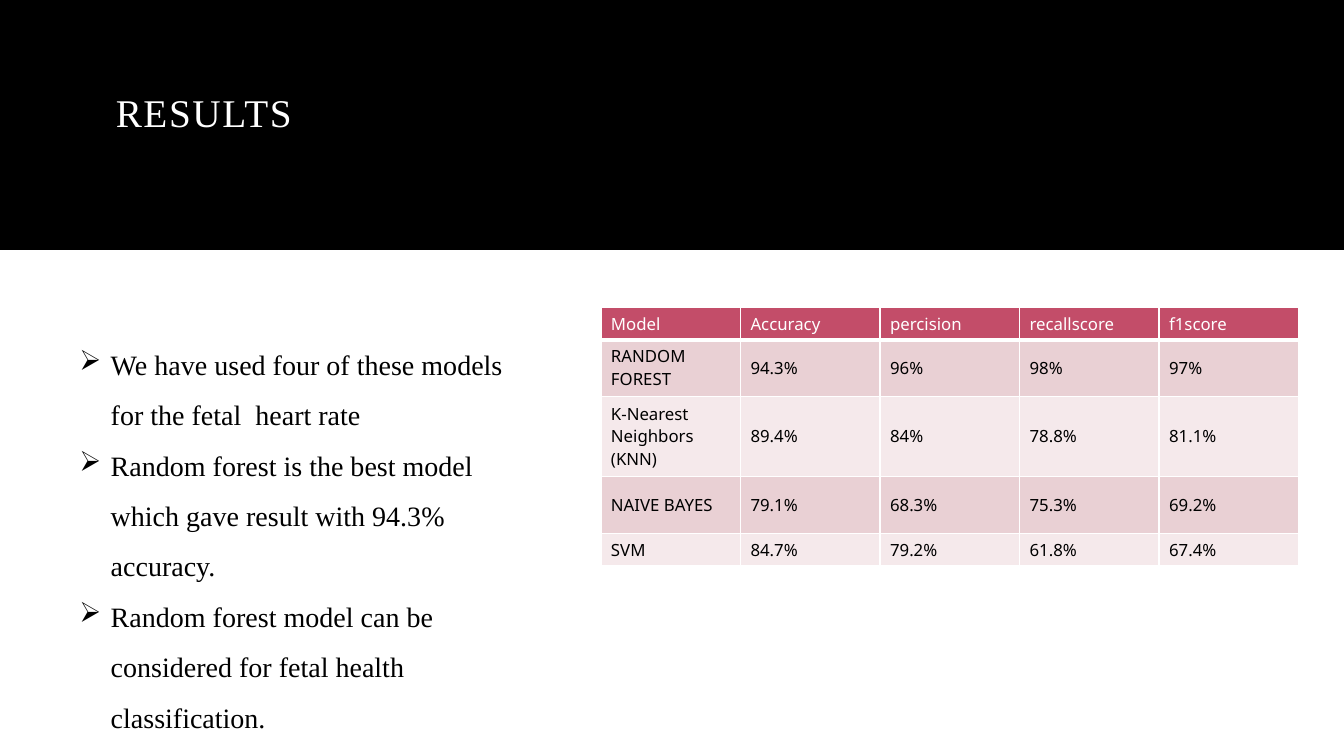
import dataclasses

import pptx
import pptx.dml.color
import pptx.enum.shapes
import pptx.enum.text
import pptx.oxml
import pptx.oxml.ns
import pptx.util

Inches = pptx.util.Inches
ANCHOR = pptx.enum.text.MSO_ANCHOR


@dataclasses.dataclass(frozen=True)
class Theme:
    """Colours, fonts and type sizes of the slide."""
    black: str = "000000"
    white: str = "FFFFFF"
    header: str = "C34D69"
    bands: tuple = ("E9D0D4", "F5E9EB")
    serif: str = "Times New Roman"
    sans: str = "Noto Sans"
    title_size: int = 28
    body_size: int = 20
    table_size: int = 12


THEME = Theme()

FINDINGS = [
    "We have used four of these models for the fetal  heart rate",
    "Random forest is the best model which gave result with 94.3% accuracy.",
    "Random forest model can be considered for fetal health classification.",
]
SCORES = [
    ["Model", "Accuracy", "percision", "recallscore", "f1score"],
    ["RANDOM FOREST", "94.3%", "96%", "98%", "97%"],
    ["K-Nearest Neighbors (KNN)", "89.4%", "84%", "78.8%", "81.1%"],
    ["NAIVE BAYES", "79.1%", "68.3%", "75.3%", "69.2%"],
    ["SVM", "84.7%", "79.2%", "61.8%", "67.4%"],
]
ROW_HEIGHTS = [0.32, 0.56, 0.8, 0.56, 0.32]


def rgb(value):
    """Turn a hex string into a colour."""
    return pptx.dml.color.RGBColor.from_string(value)


def write(para, text, *, font, size, color, line=None, tracking=None, bullet=None, indent=0.31):
    """Put formatted text into a paragraph."""
    span = para.add_run()
    span.text = text
    span.font.name = font
    span.font.size = pptx.util.Pt(size)
    span.font.color.rgb = rgb(color)
    if line:
        para.line_spacing = line
    if tracking:
        span.font._element.set("spc", str(round(tracking * 100)))
    if bullet:
        properties = para._p.get_or_add_pPr()
        properties.set("marL", str(Inches(indent)))
        properties.set("indent", str(-Inches(indent)))
        mark = properties.makeelement(pptx.oxml.ns.qn("a:buChar"), {"char": bullet})
        properties.append(mark)


def add_frame(page, box, anchor):
    """Add a wrapping text box and return its text frame."""
    frame = page.shapes.add_textbox(*map(Inches, box)).text_frame
    frame.word_wrap = True
    frame.vertical_anchor = anchor
    return frame


def add_title_band(page, box, title):
    """Draw the black band with the title inside it."""
    left, top, width, height = box
    band = page.shapes.add_shape(pptx.enum.shapes.MSO_SHAPE.RECTANGLE, *map(Inches, box))
    band.shadow.inherit = False
    band.fill.solid()
    band.fill.fore_color.rgb = rgb(THEME.black)
    band.line.fill.background()
    title_box = (left + 1.05, top + 0.33, width - 2.1, height - 0.87)
    frame = add_frame(page, title_box, ANCHOR.MIDDLE)
    write(frame.paragraphs[0], title, font=THEME.serif, size=THEME.title_size,
          color=THEME.white, line=0.9, tracking=1.2)


def add_findings(page, box, findings):
    """List the findings with arrow bullets."""
    frame = add_frame(page, box, ANCHOR.TOP)
    for index, finding in enumerate(findings):
        para = frame.add_paragraph() if index else frame.paragraphs[0]
        write(para, finding, font=THEME.serif, size=THEME.body_size,
              color=THEME.black, line=1.5, bullet="\u27a2")


def set_borders(cell, color, **widths):
    """Draw cell borders; widths in points are keyed L, R, T and B."""
    properties = cell._tc.get_or_add_tcPr()
    for index, (side, width) in enumerate(widths.items()):
        border = pptx.oxml.parse_xml(
            f'<a:ln{side} {pptx.oxml.ns.nsdecls("a")} w="{pptx.util.Pt(width)}">'
            f'<a:solidFill><a:srgbClr val="{color}"/></a:solidFill></a:ln{side}>')
        properties.insert(index, border)


def add_score_table(page, box, scores, heights):
    """Build the banded table of model scores."""
    table = page.shapes.add_table(len(scores), len(scores[0]), *map(Inches, box)).table
    for column in table.columns:
        column.width = Inches(box[2] / len(scores[0]))
    for row, (values, height) in enumerate(zip(scores, heights)):
        table.rows[row].height = Inches(height)
        is_header = row == 0
        fill = THEME.header if is_header else THEME.bands[(row - 1) % 2]
        for column, value in enumerate(values):
            cell = table.cell(row, column)
            cell.vertical_anchor = ANCHOR.MIDDLE
            cell.fill.solid()
            cell.fill.fore_color.rgb = rgb(fill)
            write(cell.text_frame.paragraphs[0], value, font=THEME.sans,
                  size=THEME.table_size, color=THEME.white if is_header else THEME.black)
            set_borders(cell, THEME.white, L=1, R=1, T=3 if row == 1 else 1,
                        B=3 if is_header else 1)


def build_results(page):
    """Lay out the results slide."""
    add_title_band(page, (0, 0, 13.33, 2.48), "RESULTS")
    add_score_table(page, (5.96, 3.05, 6.92, sum(ROW_HEIGHTS)), SCORES, ROW_HEIGHTS)
    add_findings(page, (0.69, 3.23, 4.54, 4.08), FINDINGS)


deck = pptx.Presentation()
deck.slide_width, deck.slide_height = Inches(13.33), Inches(7.5)
build_results(deck.slides.add_slide(deck.slide_layouts[6]))
deck.save("out.pptx")
